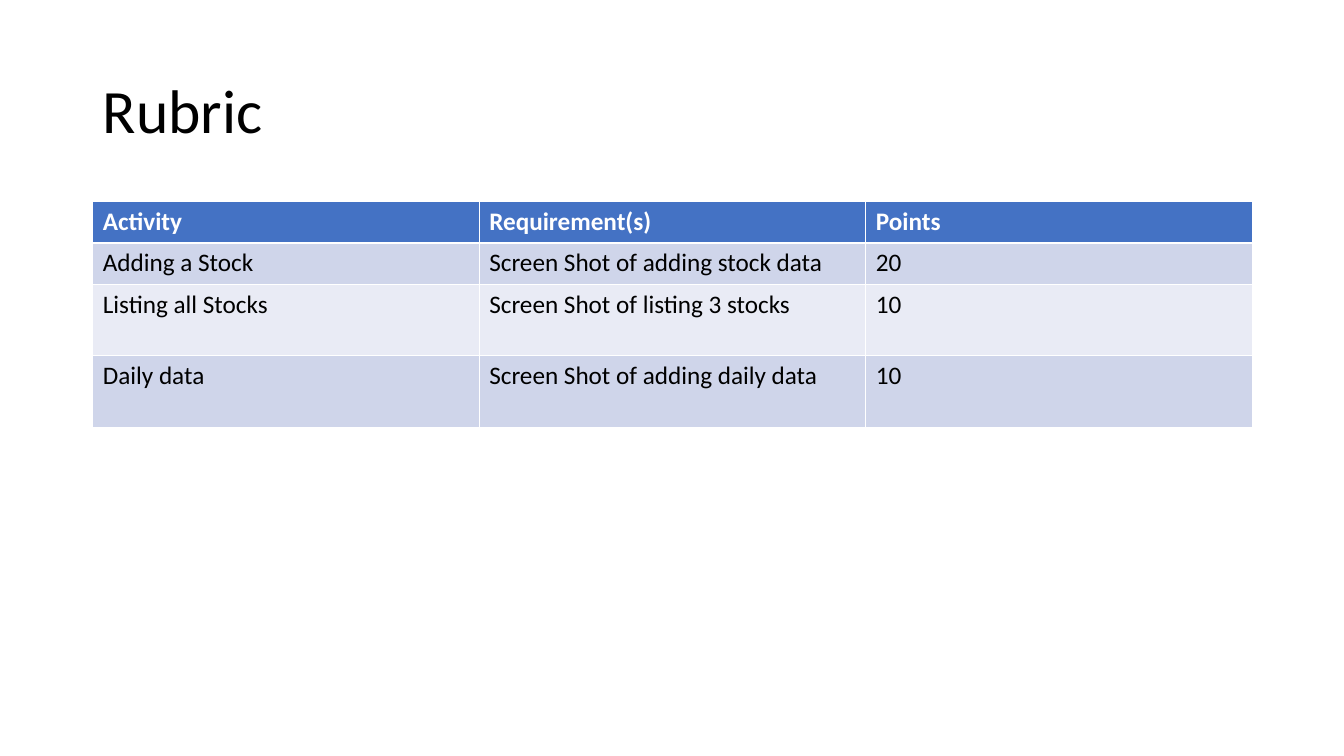
"""Build the rubric slide: a title above a table of activities and points."""
from pptx import Presentation
from pptx.dml.color import RGBColor
from pptx.enum.text import MSO_ANCHOR, PP_ALIGN
from pptx.util import Inches, Pt

TITLE = "Rubric"
ROWS = [
    ("Activity", "Requirement(s)", "Points"),
    ("Adding a Stock", "Screen Shot of adding stock data", "20"),
    ("Listing all Stocks", "Screen Shot of listing 3 stocks", "10"),
    ("Daily data", "Screen Shot of adding daily data", "10"),
]
HEIGHTS = [0.41, 0.41, 0.71, 0.71]
HEAD, BANDS = "4472C4", ("E9EBF5", "CFD5EA")
WIDE, HIGH = 13.33, 7.5
LEFT, SPAN = 0.92, 11.5


def style(para, size, color, bold=False):
    font = para.font
    font.name, font.size, font.bold = "Calibri", Pt(size), bold
    font.color.rgb = RGBColor.from_string(color)


def add_title(slide):
    title = slide.shapes.title
    title.left, title.top = Inches(LEFT), Inches(0.4)
    title.width, title.height = Inches(SPAN), Inches(1.45)
    frame = title.text_frame
    frame.text = TITLE
    frame.vertical_anchor = MSO_ANCHOR.MIDDLE
    para = frame.paragraphs[0]
    para.alignment, para.line_spacing = PP_ALIGN.LEFT, 0.9
    style(para, 44, "000000")


def add_grid(slide):
    grid = slide.shapes.add_table(
        len(ROWS), len(ROWS[0]), Inches(LEFT), Inches(2),
        Inches(SPAN), Inches(sum(HEIGHTS))).table
    for r, (texts, height) in enumerate(zip(ROWS, HEIGHTS)):
        grid.rows[r].height = Inches(height)
        head = r == 0
        for c, text in enumerate(texts):
            cell = grid.cell(r, c)
            cell.text = text
            cell.fill.solid()
            cell.fill.fore_color.rgb = RGBColor.from_string(
                HEAD if head else BANDS[r % 2])
            style(cell.text_frame.paragraphs[0], 18,
                  "FFFFFF" if head else "000000", head)


def main():
    deck = Presentation()
    deck.slide_width, deck.slide_height = Inches(WIDE), Inches(HIGH)
    slide = deck.slides.add_slide(deck.slide_layouts[5])
    add_title(slide)
    add_grid(slide)
    deck.save("out.pptx")


if __name__ == "__main__":
    main()
